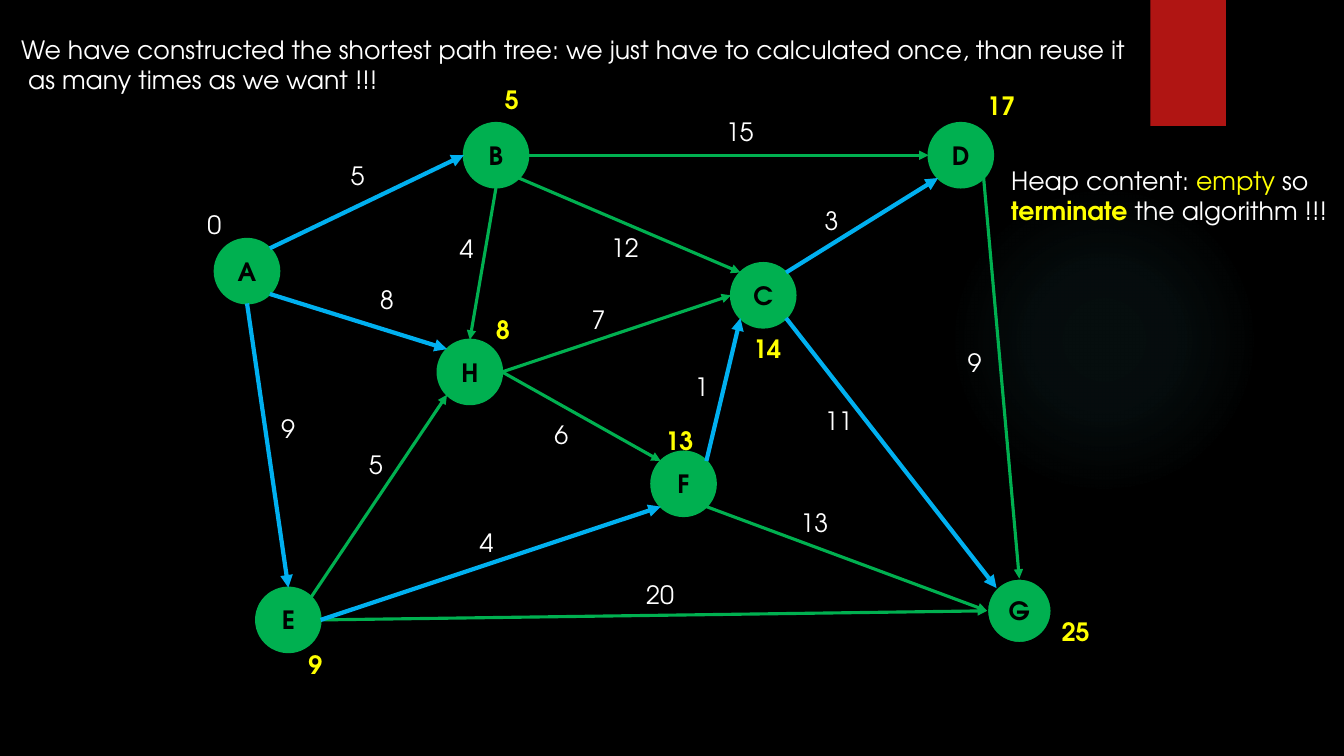
"""Build a slide showing a shortest path tree in a weighted directed graph."""
from math import cos, radians, sin

from lxml.etree import SubElement
from pptx import Presentation
from pptx.dml.color import RGBColor
from pptx.enum.shapes import MSO_CONNECTOR, MSO_SHAPE
from pptx.enum.text import MSO_ANCHOR, MSO_AUTO_SIZE, PP_ALIGN
from pptx.oxml import parse_xml
from pptx.oxml.ns import nsdecls, qn
from pptx.util import Emu, Pt


class Theme:
    font = "TeX Gyre Adventor"
    size = Pt(18)
    black = RGBColor.from_string("000000")
    white = RGBColor.from_string("FFFFFF")
    yellow = RGBColor.from_string("FFFF00")
    green = RGBColor.from_string("00B050")
    blue = RGBColor.from_string("00B0F0")
    red = RGBColor.from_string("B01513")
    glow = "50B9C1"
    outline = Pt(1.5)
    edge = Pt(2.25)
    tree = Pt(3)


PX = 9144
NODE = 64


def px(*lengths):
    """Turn lengths of 1/100 inch into EMU."""
    return [Emu(round(n * PX)) for n in lengths]


def write(tf, lines):
    """Write lines of (text, color, bold) runs without wrapping."""
    tf.word_wrap = False
    tf.auto_size = MSO_AUTO_SIZE.SHAPE_TO_FIT_TEXT
    tf.vertical_anchor = MSO_ANCHOR.TOP
    for i, line in enumerate(lines):
        p = tf.paragraphs[0] if i == 0 else tf.add_paragraph()
        p.alignment = PP_ALIGN.LEFT
        p.font.name, p.font.size = Theme.font, Theme.size
        for text, color, bold in line:
            r = p.add_run()
            r.text = text
            r.font.name, r.font.size = Theme.font, Theme.size
            r.font.color.rgb, r.font.bold = color, bold


prs = Presentation()
prs.slide_width, prs.slide_height = px(1333, 750)
s = prs.slides.add_slide(prs.slide_layouts[5])
s.background.fill.solid()
s.background.fill.fore_color.rgb = Theme.black

title = s.shapes.title
title.left, title.top, title.width, title.height = px(11, 29, 1133, 71)
write(title.text_frame, [
    [("We have constructed the shortest path tree: we just have to calculated once, than reuse it",
      Theme.white, False)],
    [(" as many times as we want !!!", Theme.white, False)],
])

glow = s.shapes.add_shape(MSO_SHAPE.OVAL, *px(941, 183, 308, 308))
glow.shadow.inherit = False
glow.line.fill.background()
stops = "".join(
    f'<a:gs pos="{pos}000"><a:srgbClr val="{Theme.glow}"><a:alpha val="{alpha}000"/></a:srgbClr></a:gs>'
    for pos, alpha in ((0, 7), (36, 6), (69, 0)))
glow.element.spPr.find(qn("a:prstGeom")).addnext(parse_xml(
    f'<a:gradFill {nsdecls("a")}><a:gsLst>{stops}</a:gsLst><a:path path="circle">'
    '<a:fillToRect l="50000" t="50000" r="50000" b="50000"/></a:path></a:gradFill>'))

ribbon = s.shapes.add_shape(MSO_SHAPE.RECTANGLE, *px(1141, 0, 75, 125))
ribbon.shadow.inherit = False
ribbon.fill.solid()
ribbon.fill.fore_color.rgb = Theme.red
ribbon.line.fill.background()
ribbon.element.spPr.find(qn("a:effectLst")).append(parse_xml(
    f'<a:outerShdw {nsdecls("a")} blurRad="38100" dist="25400" dir="5400000">'
    '<a:srgbClr val="000000"><a:alpha val="45000"/></a:srgbClr></a:outerShdw>'))

nodes = {
    "A": (213, 237), "B": (460, 122), "E": (254, 583), "H": (434, 337),
    "D": (921, 122), "C": (725, 261), "F": (646, 448), "G": (979, 574),
}
for name, (x, y) in nodes.items():
    sp = s.shapes.add_shape(MSO_SHAPE.OVAL, *px(x, y, NODE, NODE))
    sp.shadow.inherit = False
    sp.fill.solid()
    sp.fill.fore_color.rgb = Theme.green
    sp.line.color.rgb = Theme.black if name == "G" else Theme.green
    sp.line.width = Theme.outline
    tf = sp.text_frame
    tf.margin_left = tf.margin_right = 0
    tf.vertical_anchor = MSO_ANCHOR.MIDDLE
    p = tf.paragraphs[0]
    p.text = name
    p.alignment = PP_ALIGN.CENTER
    p.font.name, p.font.size, p.font.bold = Theme.font, Theme.size, True
    p.font.color.rgb = Theme.black

angles = {"E": 0, "NE": 45, "N": 90, "NW": 135, "W": 180, "SW": 225, "S": 270, "SE": 315}
tree = {"AE", "AH", "AB", "EF", "CD", "CG", "FC"}
edges = [
    ("AE", "S", "N", "9", 269, 405), ("AH", "SE", "NW", "8", 367, 277),
    ("AB", "NE", "W", "5", 338, 154), ("BD", "E", "W", "15", 710, 110),
    ("BC", "SE", "NW", "12", 596, 226), ("BH", "S", "N", "4", 446, 227),
    ("EH", "NE", "SW", "5", 356, 441), ("EG", "E", "W", "20", 631, 570),
    ("EF", "E", "SW", "4", 466, 518), ("HC", "E", "W", "7", 577, 297),
    ("HF", "E", "NW", "6", 540, 411), ("CD", "NE", "SW", "3", 808, 199),
    ("CG", "SE", "NW", "11", 808, 397), ("FG", "SE", "W", "13", 784, 498),
    ("FC", "NE", "SW", "1", 679, 363), ("DG", "SE", "N", "9", 950, 340),
]
for pair, start, end, *_ in edges:
    ends = []
    for name, side in zip(pair, (start, end)):
        x, y = nodes[name]
        angle = radians(angles[side])
        ends += [x + NODE / 2 * (1 + cos(angle)), y + NODE / 2 * (1 - sin(angle))]
    c = s.shapes.add_connector(MSO_CONNECTOR.STRAIGHT, *px(*ends))
    c.line.color.rgb = Theme.blue if pair in tree else Theme.green
    c.line.width = Theme.tree if pair in tree else Theme.edge
    SubElement(c.line._get_or_add_ln(), qn("a:tailEnd"), type="triangle")
    SubElement(c.element.spPr, qn("a:effectLst"))

distances = [
    ("5", 491, 79), ("17", 969, 85), ("8", 482, 307), ("9", 296, 639),
    ("13", 650, 417), ("25", 1043, 607), ("14", 737, 326),
]
labels = [("0", 196, 203, Theme.white, False)]
labels += [(*distance, Theme.yellow, True) for distance in distances]
labels += [(*edge[3:], Theme.white, False) for edge in edges]
for text, x, y, color, bold in labels:
    sp = s.shapes.add_textbox(*px(x, y, 20 + 14 * len(text), 40))
    write(sp.text_frame, [[(text, color, bold)]])

heap = s.shapes.add_textbox(*px(993, 159, 339, 71))
write(heap.text_frame, [
    [("Heap content: ", Theme.white, False), ("empty", Theme.yellow, False), (" so", Theme.white, False)],
    [("terminate", Theme.yellow, True), (" the algorithm !!!", Theme.white, False)],
])

prs.save("out.pptx")
